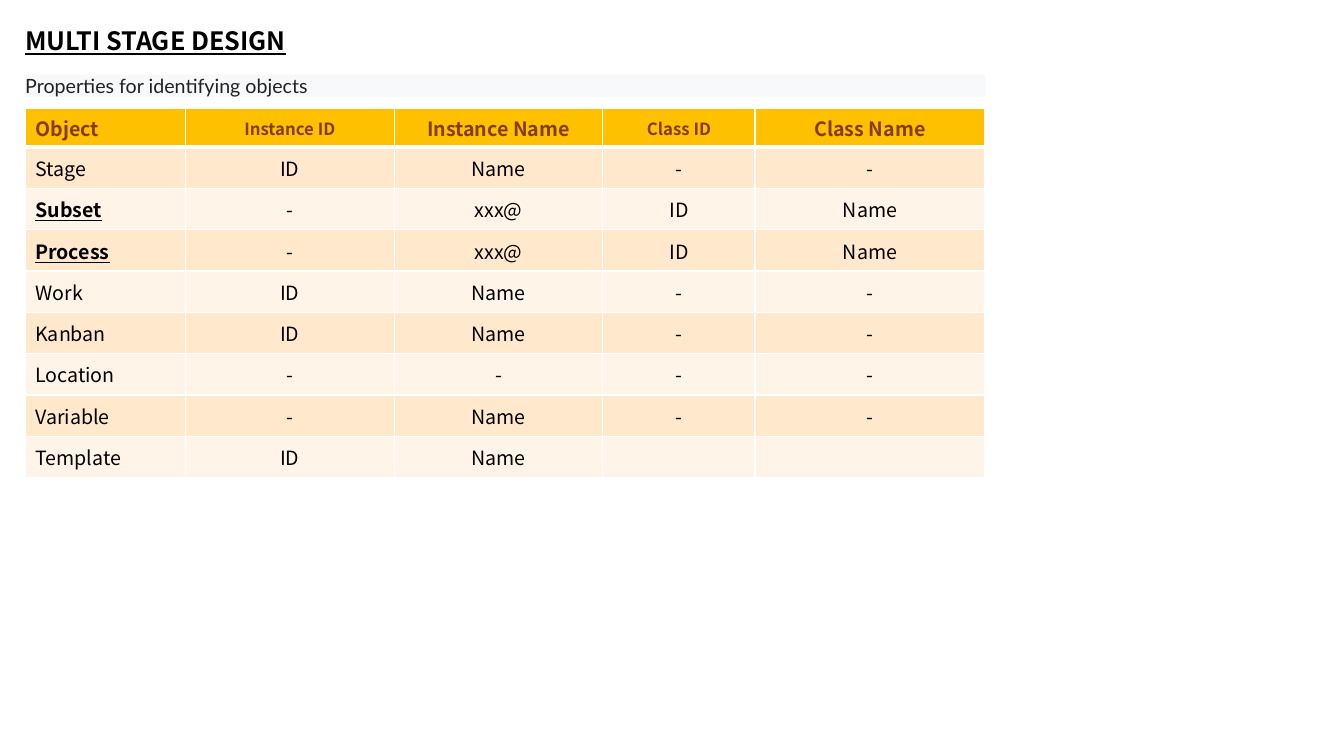
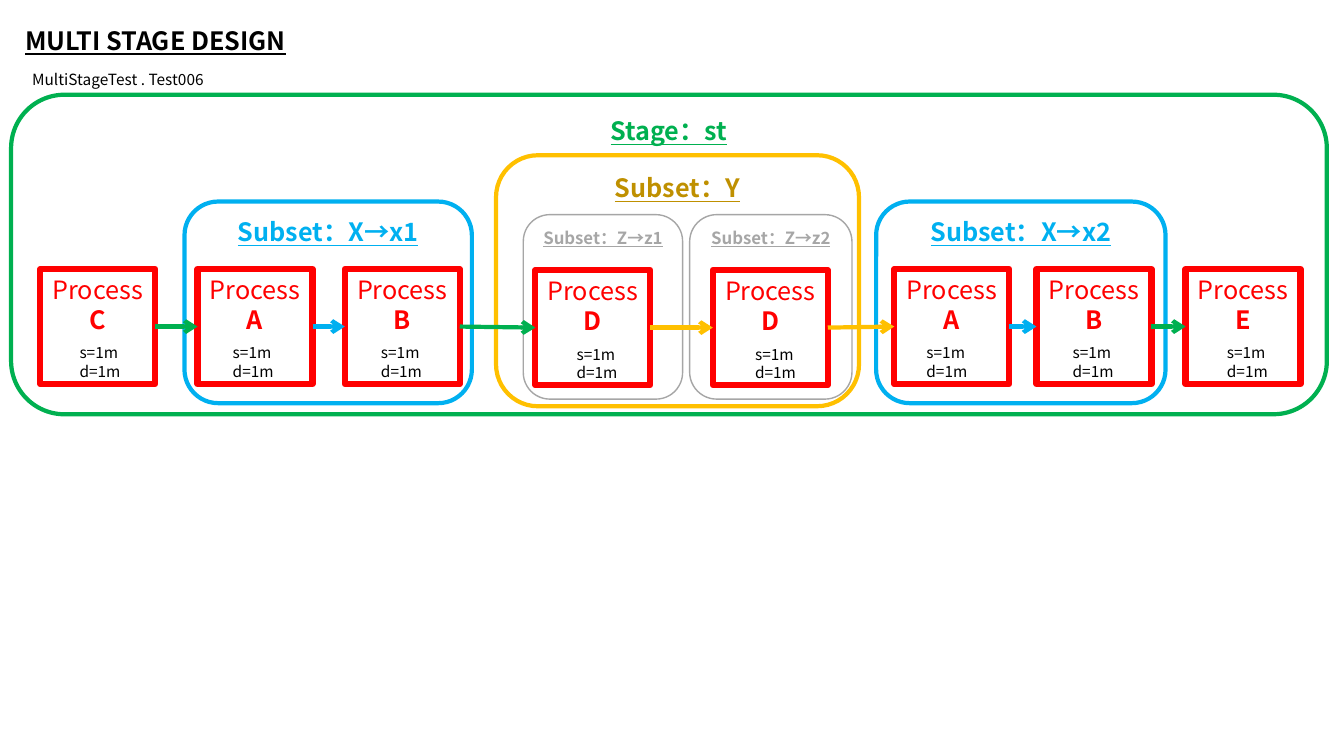
from itertools import pairwise

from lxml.etree import SubElement
from pptx import Presentation
from pptx.dml.color import RGBColor
from pptx.enum.shapes import MSO_CONNECTOR, MSO_SHAPE
from pptx.enum.text import MSO_ANCHOR, PP_ALIGN
from pptx.oxml.ns import qn
from pptx.util import Inches, Pt

# Shared style
COLORS = {
    "black": "000000", "white": "FFFFFF", "ink": "222222", "mist": "F8F9FA",
    "header": "FFC000", "header_text": "843C0B", "odd": "FFE8CC", "even": "FFF4E7",
    "red": "FF0000", "blue": "00B0F0", "green": "00B050", "gold": "FFC000",
    "bronze": "BF9000", "gray": "A6A6A6",
}
FONT = "Noto Sans CJK JP"
TITLE = "MULTI STAGE DESIGN"
TITLE_AREA = (0.15, 0.2, 3.36, 0.4)

# Table content
SUBTITLE = "Properties for identifying objects"
HEADERS = [("Object", 14), ("Instance ID", 12), ("Instance Name", 14),
           ("Class ID", 12), ("Class Name", 14)]
ROWS = [
    ("Stage", "ID", "Name", "-", "-"),
    ("Subset", "-", "xxx@", "ID", "Name"),
    ("Process", "-", "xxx@", "ID", "Name"),
    ("Work", "ID", "Name", "-", "-"),
    ("Kanban", "ID", "Name", "-", "-"),
    ("Location", "-", "-", "-", "-"),
    ("Variable", "-", "Name", "-", "-"),
    ("Template", "ID", "Name", "", ""),
]
EMPHASIZED = {"Subset", "Process"}
COLUMN_WIDTHS = [1.59, 2.07, 2.07, 1.51, 2.28]
HEADER_HEIGHT, ROW_HEIGHT = 0.38, 0.41
TABLE_LEFT, TABLE_TOP, TABLE_WIDTH = 0.25, 1.08, 9.53

# Diagram content: label, area, outline, text colour, line width, text size
DIAGRAM_NAME = "MultiStageTest . Test006"
FRAMES = [
    ("Stage：st", (0.11, 0.94, 13.05, 3.17), "green", "green", 3, 18),
    ("Subset：X→x1", (1.83, 2, 2.85, 2), "blue", "blue", 3, 18),
    ("Subset：X→x2", (8.69, 2, 2.87, 2), "blue", "blue", 3, 18),
    ("Subset：Y", (4.92, 1.54, 3.6, 2.49), "gold", "bronze", 3, 18),
    ("Subset：Z→z1", (5.19, 2.13, 1.58, 1.83), "gray", "gray", 1, 12),
    ("Subset：Z→z2", (6.84, 2.13, 1.61, 1.83), "gray", "gray", 1, 12),
]
# Process name, left, top, left of its timing text
PROCESSES = [
    ("C", 0.4, 2.67, 0.69), ("A", 1.96, 2.67, 2.21), ("B", 3.42, 2.67, 3.68),
    ("D", 5.31, 2.68, 5.62), ("D", 7.07, 2.68, 7.39), ("A", 8.87, 2.67, 9.09),
    ("B", 10.28, 2.67, 10.54), ("E", 11.76, 2.67, 12.07),
]
ARROW_COLORS = ["green", "blue", "green", "gold", "gold", "blue", "green"]
TIMING = ["s=1m", "d=1m"]
PROCESS_SIDE, TIMING_DROP = 1.14, 0.69


def color(name):
    return RGBColor.from_string(COLORS[name])


def inches(values):
    return [Inches(value) for value in values]


def write(paragraph, text, size, shade="black", bold=False, underline=False,
          align=PP_ALIGN.LEFT, font=FONT):
    paragraph.alignment = align
    span = paragraph.add_run()
    span.text = text
    span.font.name, span.font.size = font, Pt(size)
    span.font.bold, span.font.underline = bold, underline
    span.font.color.rgb = color(shade)
    SubElement(span.font._element, qn("a:ea")).set("typeface", font)


def add_text(page, area, lines, size, wrap=True, **style):
    frame = page.shapes.add_textbox(*inches(area)).text_frame
    frame.word_wrap = wrap
    for index, line in enumerate(lines):
        paragraph = frame.add_paragraph() if index else frame.paragraphs[0]
        write(paragraph, line, size, **style)


def add_box(page, kind, area, outline=None, width=0, fill=None):
    box = page.shapes.add_shape(kind, *inches(area))
    box.shadow.inherit = False
    if fill:
        box.fill.solid()
        box.fill.fore_color.rgb = color(fill)
    else:
        box.fill.background()
    if outline:
        box.line.color.rgb = color(outline)
        box.line.width = Pt(width)
    else:
        box.line.fill.background()
    box.text_frame.word_wrap = True
    box.text_frame.vertical_anchor = MSO_ANCHOR.TOP
    return box


def add_arrow(page, start, end, shade):
    arrow = page.shapes.add_connector(MSO_CONNECTOR.STRAIGHT, *inches(start + end))
    arrow.line.color.rgb = color(shade)
    arrow.line.width = Pt(3)
    SubElement(arrow.line._get_or_add_ln(), qn("a:tailEnd")).set("type", "arrow")
    SubElement(arrow._element.spPr, qn("a:effectLst"))


def add_page(deck):
    page = deck.slides.add_slide(deck.slide_layouts[6])
    add_text(page, TITLE_AREA, [TITLE], 18, bold=True, underline=True)
    return page


def style_cell(cell, fill, bottom_width):
    cell.vertical_anchor = MSO_ANCHOR.MIDDLE
    properties = cell._tc.get_or_add_tcPr()
    for side in ("lnL", "lnR", "lnT", "lnB"):
        width = bottom_width if side == "lnB" else 1
        border = SubElement(properties, qn(f"a:{side}"), w=str(Pt(width)))
        paint = SubElement(border, qn("a:solidFill"))
        SubElement(paint, qn("a:srgbClr"), val=COLORS["white"])
    cell.fill.solid()
    cell.fill.fore_color.rgb = color(fill)


def add_property_table(page):
    height = HEADER_HEIGHT + ROW_HEIGHT * len(ROWS)
    area = (TABLE_LEFT, TABLE_TOP, TABLE_WIDTH, height)
    table = page.shapes.add_table(len(ROWS) + 1, len(HEADERS), *inches(area)).table
    for column, width in zip(table.columns, COLUMN_WIDTHS):
        column.width = Inches(width)
    for index, row in enumerate(table.rows):
        row.height = Inches(ROW_HEIGHT if index else HEADER_HEIGHT)

    aligns = [PP_ALIGN.LEFT] + [PP_ALIGN.CENTER] * (len(HEADERS) - 1)
    for column, (text, size) in enumerate(HEADERS):
        cell = table.cell(0, column)
        style_cell(cell, "header", 3)
        write(cell.text_frame.paragraphs[0], text, size, "header_text", bold=True,
              align=aligns[column])
    for row, values in enumerate(ROWS, 1):
        for column, text in enumerate(values):
            cell = table.cell(row, column)
            style_cell(cell, "odd" if row % 2 else "even", 1)
            strong = text in EMPHASIZED
            write(cell.text_frame.paragraphs[0], text, 14, bold=strong,
                  underline=strong, align=aligns[column])


def build_properties(deck):
    page = add_page(deck)
    add_property_table(page)
    strip = add_box(page, MSO_SHAPE.RECTANGLE, (TABLE_LEFT, 0.74, TABLE_WIDTH, 0.22),
                    fill="mist")
    frame = strip.text_frame
    frame.margin_left = frame.margin_right = 0
    frame.margin_top = frame.margin_bottom = Inches(-0.01)
    frame.vertical_anchor = MSO_ANCHOR.MIDDLE
    write(frame.paragraphs[0], SUBTITLE, 14, "ink", font="Lato")


def build_diagram(deck):
    page = add_page(deck)
    add_text(page, (0.22, 0.65, 1.99, 0.29), [DIAGRAM_NAME], 11, wrap=False)

    # Stage and subset frames
    for label, area, outline, shade, width, size in FRAMES:
        box = add_box(page, MSO_SHAPE.ROUNDED_RECTANGLE, area, outline, width)
        write(box.text_frame.paragraphs[0], label, size, shade, bold=True,
              underline=True, align=PP_ALIGN.CENTER)

    # Processes with their timing
    for name, left, top, timing_left in PROCESSES:
        area = (left, top, PROCESS_SIDE, PROCESS_SIDE)
        frame = add_box(page, MSO_SHAPE.RECTANGLE, area, "red", 4.5).text_frame
        write(frame.paragraphs[0], "Process", 18, "red", align=PP_ALIGN.CENTER)
        write(frame.add_paragraph(), name, 18, "red", bold=True, align=PP_ALIGN.CENTER)
        add_text(page, (timing_left, top + TIMING_DROP, 0.62, 0.47), TIMING, 11,
                 wrap=False)

    # Arrows from each process to the next
    for (source, target), shade in zip(pairwise(PROCESSES), ARROW_COLORS):
        start = (source[1] + PROCESS_SIDE, source[2] + PROCESS_SIDE / 2)
        end = (target[1], target[2] + PROCESS_SIDE / 2)
        add_arrow(page, start, end, shade)


def main():
    deck = Presentation()
    deck.slide_width, deck.slide_height = Inches(13.33), Inches(7.5)
    build_properties(deck)
    build_diagram(deck)
    deck.save("out.pptx")


if __name__ == "__main__":
    main()
